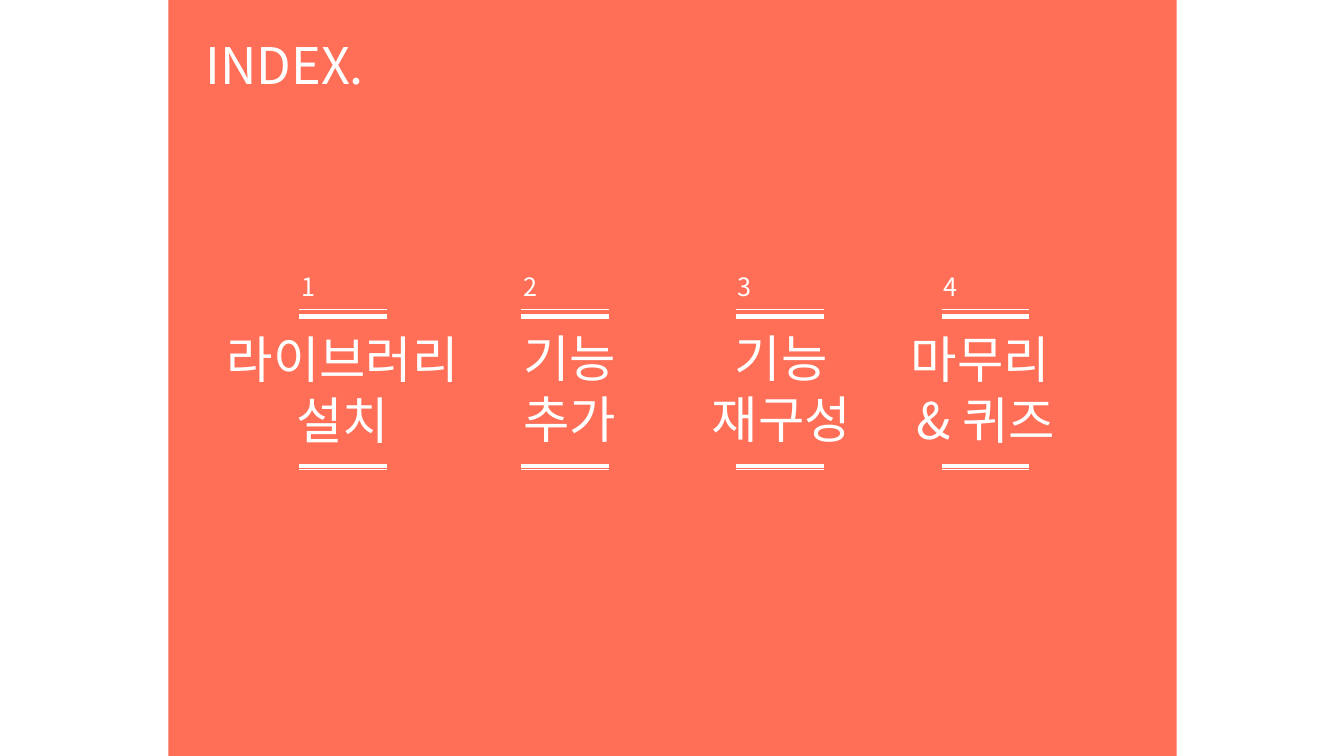
from dataclasses import dataclass

from lxml.etree import SubElement
from pptx import Presentation
from pptx.dml.color import RGBColor
from pptx.enum.shapes import MSO_CONNECTOR as Connector, MSO_SHAPE as Shape
from pptx.enum.text import MSO_AUTO_SIZE as AutoSize, PP_ALIGN as Align
from pptx.oxml.ns import qn
from pptx.util import Pt

PX = 9144


@dataclass(frozen=True)
class Theme:
    """Colours, font, type sizes and line widths of the slide."""
    coral: RGBColor = RGBColor(0xFF, 0x6E, 0x57)
    white: RGBColor = RGBColor(0xFF, 0xFF, 0xFF)
    font: str = "Noto Sans CJK KR"
    heading: int = 36
    number: int = 18
    thin: float = 0.5
    thick: float = 3


THEME = Theme()
RULE_WIDTH = 87
RULES = [(307, THEME.thin), (314, THEME.thick), (462, THEME.thick), (466, THEME.thin)]
CHAPTERS = [
    (297, (203, 321, 274), "라이브러리 설치", Align.CENTER),
    (517, (509, 320, 126), "기능추가", Align.LEFT),
    (730, (690, 320, 170), "기능\n재구성", Align.CENTER),
    (934, (794, 321, 368), "마무리 \n& 퀴즈", Align.CENTER),
]


def add_panel(page, left, top, width, height):
    """Add the coral panel behind the index."""
    panel = page.shapes.add_shape(
        Shape.RECTANGLE, left * PX, top * PX, width * PX, height * PX)
    panel.shadow.inherit = False
    panel.fill.solid()
    panel.fill.fore_color.rgb = THEME.coral
    panel.line.fill.background()


def add_text(page, left, top, width, height, text, size, align=Align.LEFT):
    """Add a wrapping white text box."""
    box = page.shapes.add_textbox(left * PX, top * PX, width * PX, height * PX)
    frame = box.text_frame
    frame.word_wrap = True
    frame.auto_size = AutoSize.SHAPE_TO_FIT_TEXT
    frame.text = text
    for para in frame.paragraphs:
        para.alignment = align
        for span in para.runs:
            span.font.size = Pt(size)
            span.font.name = THEME.font
            span.font.color.rgb = THEME.white
            east_asian = SubElement(span.font._element, qn("a:ea"))
            east_asian.set("typeface", THEME.font)


def add_rule(page, left, top, weight):
    """Add a short horizontal white line."""
    rule = page.shapes.add_connector(
        Connector.STRAIGHT, left * PX, top * PX, (left + RULE_WIDTH) * PX, top * PX)
    rule.line.color.rgb = THEME.white
    rule.line.width = Pt(weight)
    SubElement(rule._element.spPr, qn("a:effectLst"))


def add_chapter(page, number, left, title_area, title, align):
    """Add one numbered chapter with its title between two pairs of rules."""
    for top, weight in RULES:
        add_rule(page, left, top, weight)
    add_text(page, left - 8, 264, 126, 40, str(number), THEME.number)
    add_text(page, *title_area, 131, title, THEME.heading, align)


def main():
    """Build the index slide and save the deck."""
    deck = Presentation()
    deck.slide_width, deck.slide_height = 1333 * PX, 750 * PX
    page = deck.slides.add_slide(deck.slide_layouts[6])
    add_panel(page, 167, 0, 1000, 750)
    add_text(page, 194, 29, 339, 71, "INDEX.", THEME.heading)
    for number, chapter in enumerate(CHAPTERS, 1):
        add_chapter(page, number, *chapter)
    deck.save("out.pptx")


if __name__ == "__main__":
    main()
